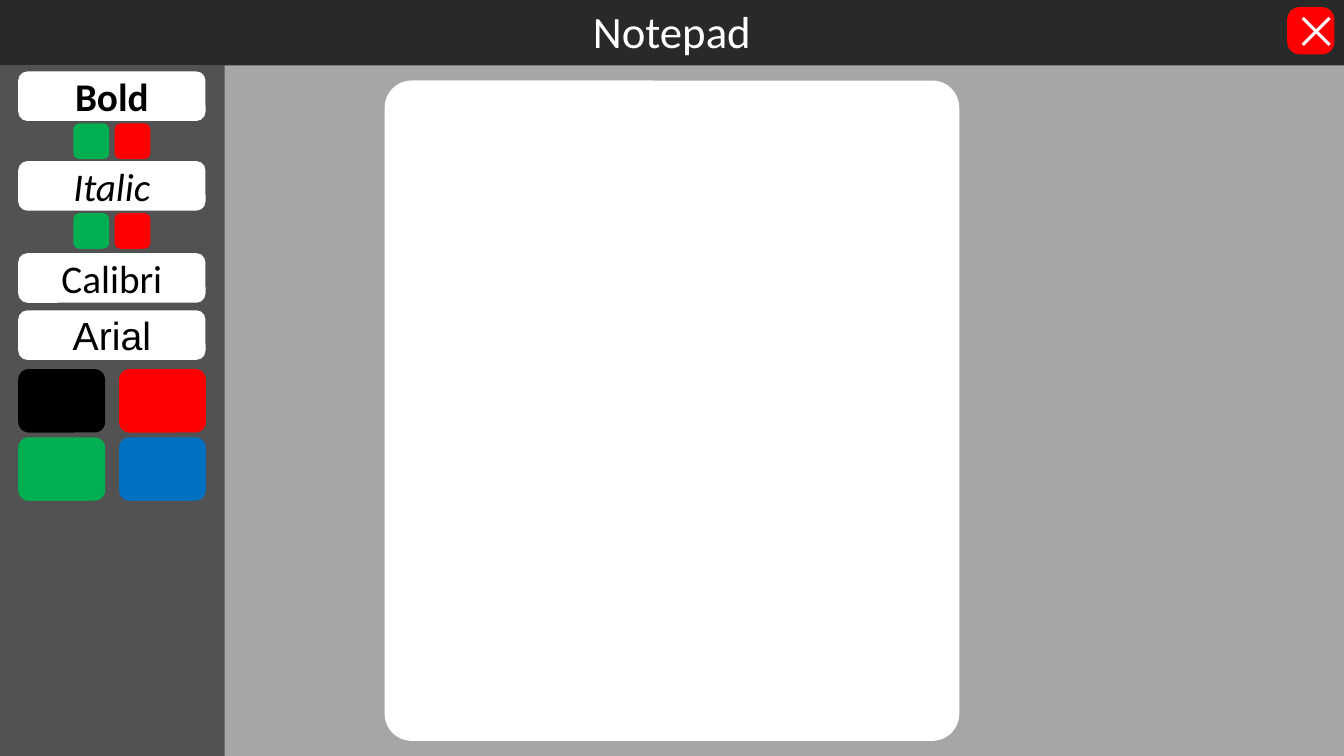
from pptx import Presentation, util as u
from pptx.dml.color import RGBColor
from pptx.enum import shapes, text
from pptx.oxml.ns import qn
from lxml import etree

COLORS = {"black": "000000", "white": "FFFFFF", "red": "FF0000",
          "green": "00B050", "blue": "0070C0", "desk": "A6A6A6"}
WIDTH, HEIGHT, HEADER = 33.87, 19.05, 1.65


def rgb(name):
    """Return the named colour."""
    return RGBColor.from_string(COLORS[name])


def write(sp, label, size, color, font="Calibri", bold=None, italic=None):
    """Put one centred run of text in a shape."""
    tf = sp.text_frame
    tf.word_wrap = True
    p = tf.paragraphs[0]
    p.alignment = text.PP_ALIGN.CENTER
    r = p.add_run()
    r.text = label
    r.font.name, r.font.size = font, u.Pt(size)
    r.font.bold, r.font.italic = bold, italic
    r.font.color.rgb = rgb(color)


def add_panel(s, box, color, radius=0.167, alpha=None):
    """Add a borderless rounded rectangle, optionally see-through."""
    sp = s.shapes.add_shape(shapes.MSO_SHAPE.ROUNDED_RECTANGLE, *map(u.Cm, box))
    sp.adjustments[0] = radius
    sp.shadow.inherit = False
    sp.line.fill.background()
    sp.fill.solid()
    sp.fill.fore_color.rgb = rgb(color)
    sp.text_frame.vertical_anchor = text.MSO_ANCHOR.MIDDLE
    if alpha is not None:
        clr = sp._element.spPr.find(qn("a:solidFill"))[0]
        etree.SubElement(clr, qn("a:alpha"), val=str(alpha * 1000))
    return sp


def add_header(s, x, y, w, h):
    """Add the title bar with its title and close button."""
    add_panel(s, (x, y, w, h), "black", 0, 75)
    title_w, close = 11.86, 1.19
    title = s.shapes.add_textbox(*map(u.Cm, (x + (w - title_w) / 2, y - 0.03, title_w, 1.63)))
    write(title, "Notepad", 32, "white")
    button = add_panel(s, (x + w - close - 0.24, y + 0.18, close, close), "red", 0.262)
    write(button, "⨉", 28, "white")


def add_page(s, x, y, w, h):
    """Add the blank sheet centred across the given box."""
    page_w, margin = 14.48, 0.38
    add_panel(s, (x + (w - page_w) / 2, y + margin, page_w, h - 2 * margin), "white", 0.047)


def add_sidebar(s, x, y, w, h):
    """Add the tool column: style buttons, on/off toggles and colour swatches."""
    add_panel(s, (x, y, w, h), "black", 0, 50)
    left = x + 0.46
    buttons = [("Bold", 0.15, {"bold": True}, True),
               ("Italic", 2.41, {"italic": True}, True),
               ("Calibri", 4.73, {}, False),
               ("Arial", 6.17, {"font": "Arial"}, False)]
    for label, top, style, has_toggles in buttons:
        sp = add_panel(s, (left, y + top, 4.72, 1.25), "white", 0.185)
        write(sp, label, 28, "black", **style)
        if has_toggles:
            for i, color in enumerate(("green", "red")):
                add_panel(s, (x + 1.85 + i * 1.04, y + top + 1.31, 0.9, 0.9), color)
    for i, color in enumerate(("black", "red", "green", "blue")):
        row, col = divmod(i, 2)
        add_panel(s, (left + col * 2.54, y + 7.65 + row * 1.72, 2.19, 1.6), color)


def main():
    """Build the notepad slide and save it."""
    prs = Presentation()
    prs.slide_width, prs.slide_height = u.Cm(WIDTH), u.Cm(HEIGHT)
    s = prs.slides.add_slide(prs.slide_layouts[6])
    s.background.fill.solid()
    s.background.fill.fore_color.rgb = rgb("desk")
    body_h = HEIGHT - HEADER
    add_header(s, 0, 0, WIDTH, HEADER)
    add_page(s, 0, HEADER, WIDTH, body_h)
    add_sidebar(s, 0, HEADER, 5.66, body_h)
    prs.save("out.pptx")


if __name__ == "__main__":
    main()
